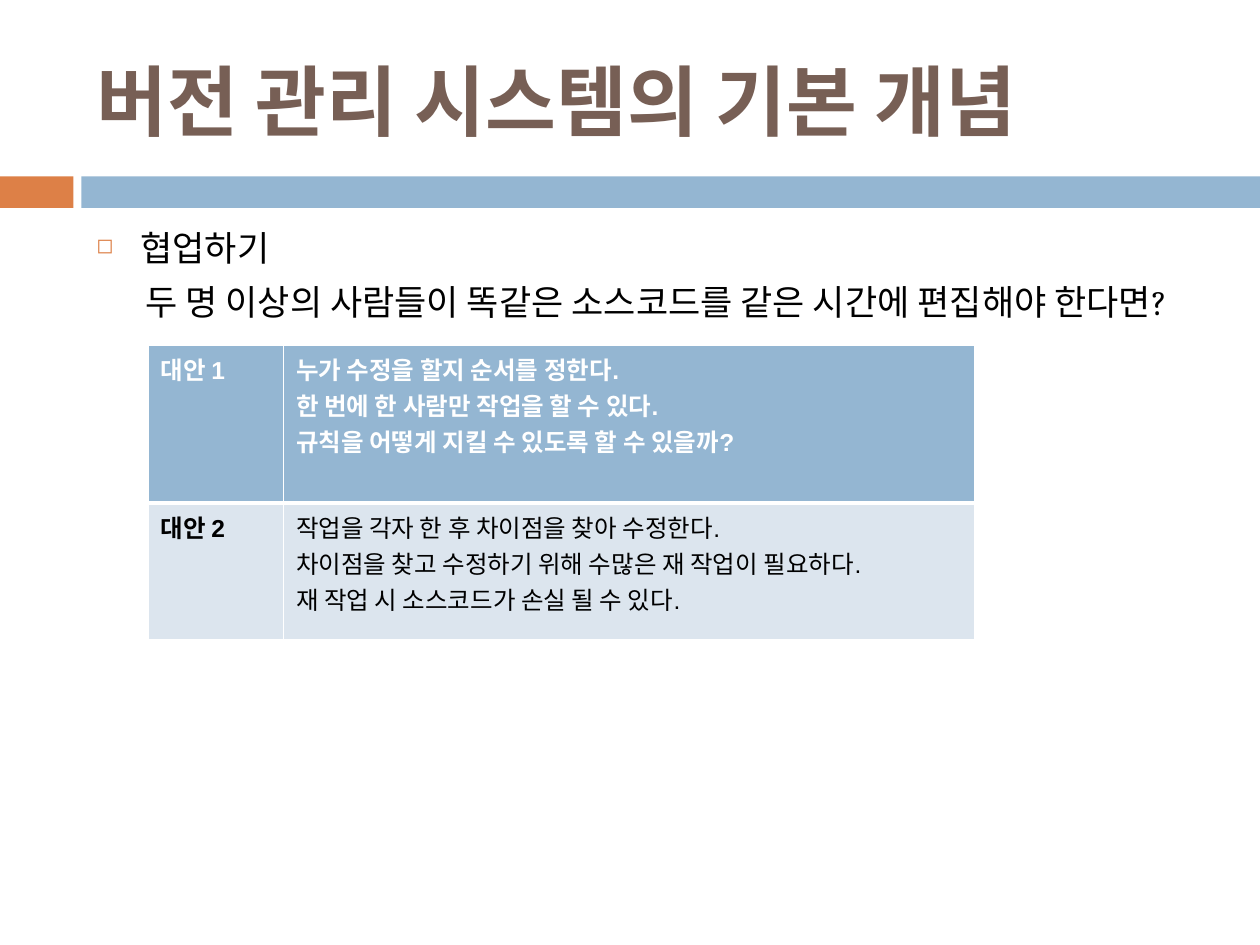
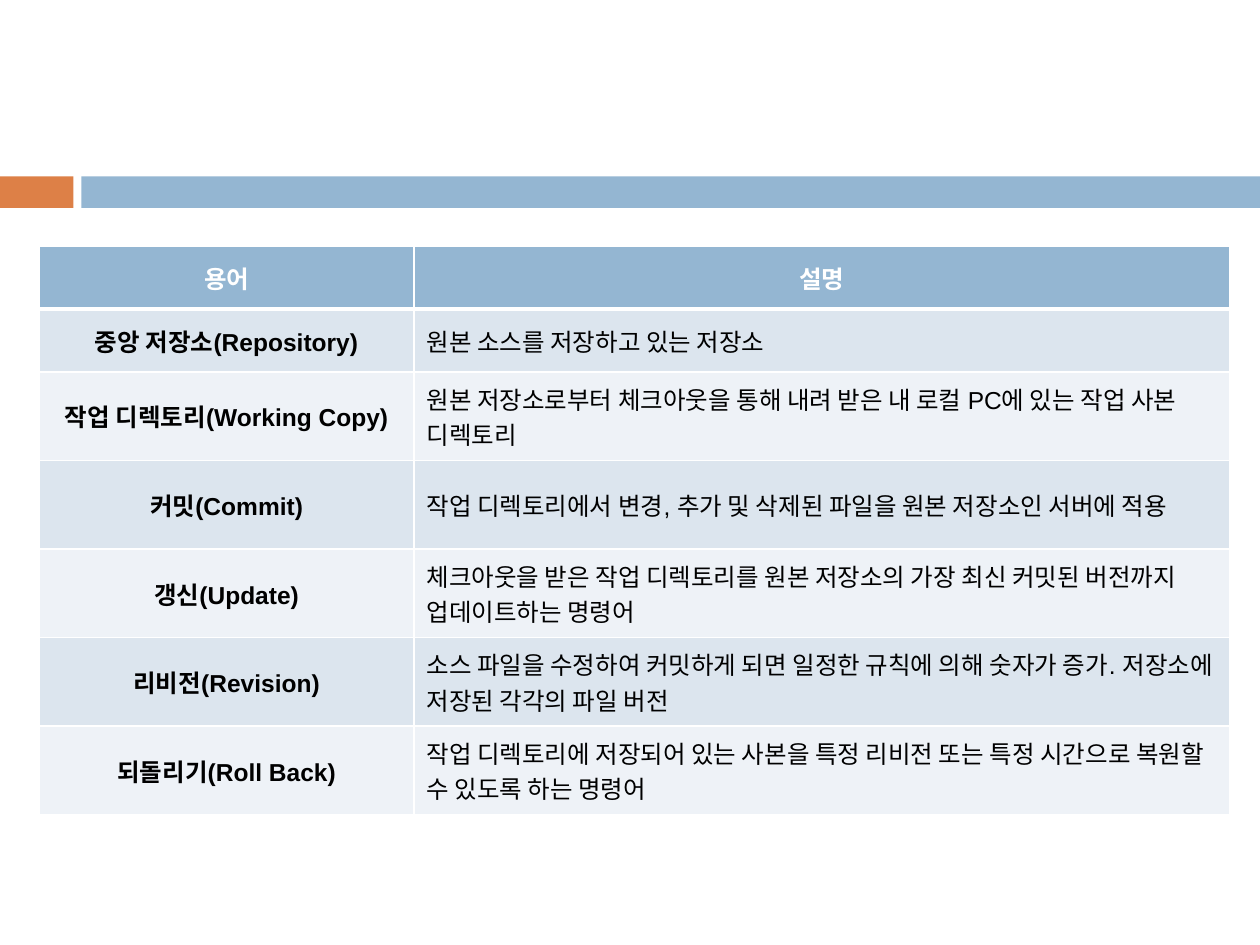
from lxml import etree
from pptx import Presentation
from pptx import util as u
from pptx.dml.color import RGBColor
from pptx.enum import shapes, text
from pptx.oxml import ns

Pt = u.Pt
WHITE, BLACK, BROWN = "FFFFFF", "000000", "775F55"
ORANGE, BLUE, PALE, PALER = "DD8047", "94B6D2", "DCE5EE", "EEF2F7"

ALTERNATIVES = [
    ("대안 1", "누가 수정을 할지 순서를 정한다.\n한 번에 한 사람만 작업을 할 수 있다.\n"
     "규칙을 어떻게 지킬 수 있도록 할 수 있을까?"),
    ("대안 2", "작업을 각자 한 후 차이점을 찾아 수정한다.\n"
     "차이점을 찾고 수정하기 위해 수많은 재 작업이 필요하다.\n"
     "재 작업 시 소스코드가 손실 될 수 있다."),
]
TERMS = [
    ("용어", "설명"),
    ("중앙 저장소(Repository)", "원본 소스를 저장하고 있는 저장소"),
    ("작업 디렉토리(Working Copy)",
     "원본 저장소로부터 체크아웃을 통해 내려 받은 내 로컬 PC에 있는 작업 사본 디렉토리"),
    ("커밋(Commit)", "작업 디렉토리에서 변경, 추가 및 삭제된 파일을 원본 저장소인 서버에 적용"),
    ("갱신(Update)",
     "체크아웃을 받은 작업 디렉토리를 원본 저장소의 가장 최신 커밋된 버전까지 업데이트하는 명령어"),
    ("리비전(Revision)",
     "소스 파일을 수정하여 커밋하게 되면 일정한 규칙에 의해 숫자가 증가. 저장소에 저장된 각각의 파일 버전"),
    ("되돌리기(Roll Back)",
     "작업 디렉토리에 저장되어 있는 사본을 특정 리비전 또는 특정 시간으로 복원할 수 있도록 하는 명령어"),
]


def color(value):
    """Turn a hex string into a colour."""
    return RGBColor.from_string(value)


def add_xml(parent, tag, **attributes):
    """Append a DrawingML element to its parent."""
    return etree.SubElement(parent, ns.qn(tag), attributes)


def write(para, words, size=14, font="Arial", ink=BLACK, bold=False, align=None, before=0):
    """Write one formatted span into a paragraph."""
    span = para.add_run()
    span.text = words
    span.font.name, span.font.size, span.font.bold = font, Pt(size), bold
    span.font.color.rgb = color(ink)
    para.alignment = align
    para.space_before = Pt(before)


def indent(para, margin, hanging=0, bullet=None):
    """Indent a paragraph and give it an optional bullet."""
    props = para._p.get_or_add_pPr()
    props.set("marL", str(Pt(margin)))
    props.set("indent", str(Pt(-hanging)))
    if bullet:
        add_xml(add_xml(props, "a:buClr"), "a:srgbClr", val=ORANGE)
        add_xml(props, "a:buSzPct", val="60000")
        add_xml(props, "a:buChar", char=bullet)


def add_text_box(page, left, top, width, height, anchor):
    """Add a wrapping text box and return its frame."""
    frame = page.shapes.add_textbox(Pt(left), Pt(top), Pt(width), Pt(height)).text_frame
    frame.word_wrap = True
    frame.vertical_anchor = anchor
    return frame


def add_band(page, top=100.8, height=18):
    """Draw the orange and blue band across the page."""
    for left, width, fill in ((0, 42, ORANGE), (46.5, 673.5, BLUE)):
        box = page.shapes.add_shape(
            shapes.MSO_SHAPE.RECTANGLE, Pt(left), Pt(top), Pt(width), Pt(height))
        box.shadow.inherit = False
        box.fill.solid()
        box.fill.fore_color.rgb = color(fill)
        box.line.fill.background()


def add_title(page, words, left=48, top=18, width=642, height=78):
    """Write the page title."""
    frame = add_text_box(page, left, top, width, height, text.MSO_ANCHOR.MIDDLE)
    write(frame.paragraphs[0], words, size=44, ink=BROWN, bold=True)


def add_question(page, topic, question, left=48, top=126, width=650, height=374):
    """Write a bulleted topic and the question under it."""
    frame = add_text_box(page, left, top, width, height, text.MSO_ANCHOR.TOP)
    para = frame.paragraphs[0]
    write(para, topic, size=20)
    indent(para, 25.2, 25.2, "◻")
    para = frame.add_paragraph()
    write(para, question, size=20, font="Cambria", before=7)
    indent(para, 28)


def add_borders(cell, bottom):
    """Draw white borders around a cell."""
    props = cell._tc.get_or_add_tcPr()
    for place, side in enumerate("LRTB"):
        line = etree.Element(ns.qn(f"a:ln{side}"), w=str(Pt(bottom if side == "B" else 1)))
        add_xml(add_xml(line, "a:solidFill"), "a:srgbClr", val=WHITE)
        props.insert(place, line)


def add_grid(page, rows, left, top, widths, heights, centered=False):
    """Add a table with a blue first row, banded rows and bold first column."""
    grid = page.shapes.add_table(len(rows), len(widths), Pt(left), Pt(top),
                                 Pt(sum(widths)), Pt(sum(heights))).table
    grid.first_row = grid.horz_banding = False
    for column, width in zip(grid.columns, widths):
        column.width = Pt(width)
    for r, (row, height) in enumerate(zip(rows, heights)):
        grid.rows[r].height = Pt(height)
        head = r == 0
        for c, words in enumerate(row):
            cell = grid.cell(r, c)
            cell.fill.solid()
            cell.fill.fore_color.rgb = color(BLUE if head else PALE if r % 2 else PALER)
            add_borders(cell, 3 if head else 1)
            if centered:
                cell.vertical_anchor = text.MSO_ANCHOR.MIDDLE
            align = text.PP_ALIGN.CENTER if centered and (head or c == 0) else None
            for n, line in enumerate(words.split("\n")):
                para = cell.text_frame.add_paragraph() if n else cell.text_frame.paragraphs[0]
                write(para, line, ink=WHITE if head else BLACK,
                      bold=head or c == 0, align=align)


def add_page(deck):
    """Add a blank page with the shared band."""
    page = deck.slides.add_slide(deck.slide_layouts[6])
    add_band(page)
    return page


def main():
    """Build and save the deck."""
    deck = Presentation()
    deck.slide_width, deck.slide_height = Pt(720), Pt(540)

    page = add_page(deck)
    add_title(page, "버전 관리 시스템의 기본 개념")
    add_question(page, "협업하기",
                 "두 명 이상의 사람들이 똑같은 소스코드를 같은 시간에 편집해야 한다면?")
    add_grid(page, ALTERNATIVES, 84.5, 197, (77.5, 395), (90.5, 78))

    page = add_page(deck)
    add_grid(page, TERMS, 22.5, 140.5, (214, 466.5), [36] * 2 + [50.6] * 5, centered=True)

    deck.save("out.pptx")


if __name__ == "__main__":
    main()
